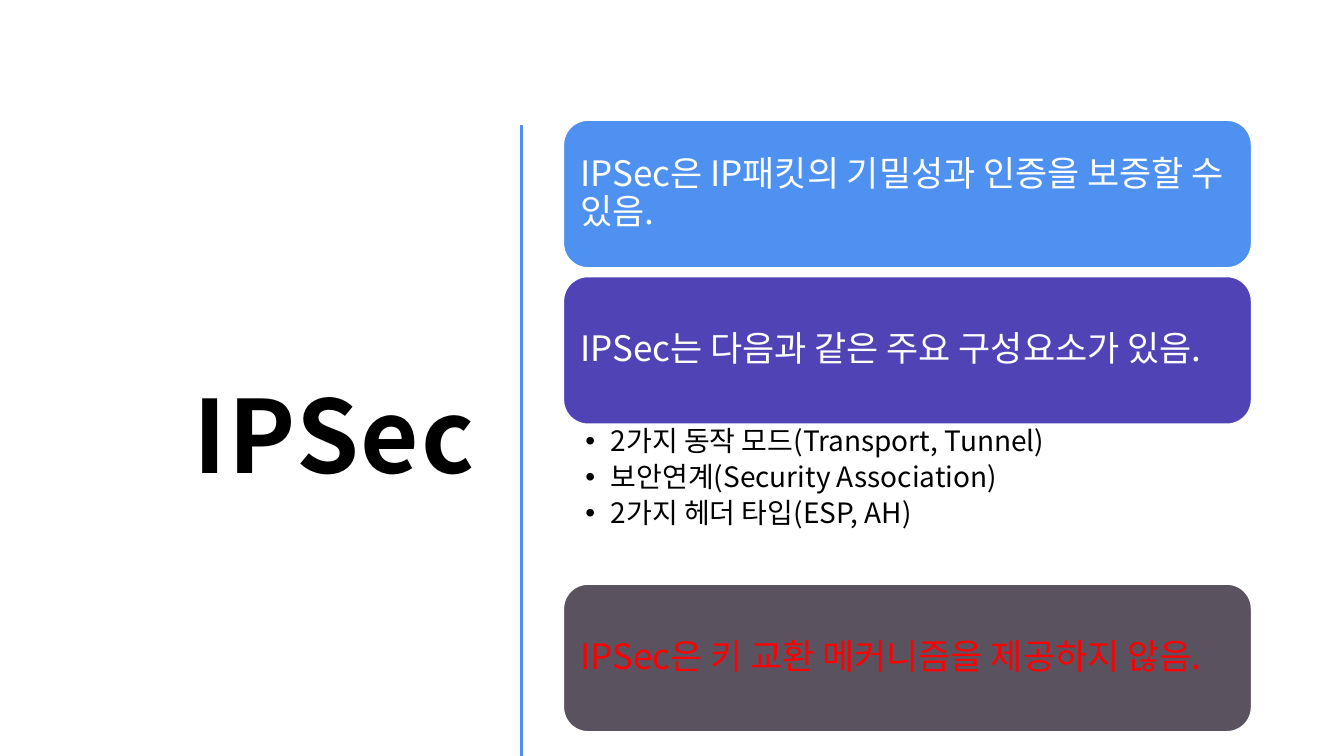
"""Build a slide that introduces IPSec with three cards and a bullet list."""
from dataclasses import dataclass

from lxml.etree import SubElement
from pptx import Presentation
from pptx.dml.color import RGBColor
from pptx.enum.shapes import MSO_CONNECTOR as Connector, MSO_SHAPE as Shape
from pptx.enum.text import MSO_ANCHOR as Anchor, MSO_AUTO_SIZE as AutoSize, PP_ALIGN as Align
from pptx.oxml.ns import qn
from pptx.slide import Slide
from pptx.text.text import TextFrame
from pptx.util import Cm, Pt

FONT = "Noto Sans CJK KR"
BLACK = RGBColor(0x00, 0x00, 0x00)
WHITE = RGBColor(0xFF, 0xFF, 0xFF)
RED = RGBColor(0xFF, 0x00, 0x00)
BLUE = RGBColor(0x4E, 0x91, 0xF0)
PURPLE = RGBColor(0x50, 0x43, 0xB5)
GRAY = RGBColor(0x5B, 0x52, 0x60)

CARD_LEFT, CARD_WIDTH, CARD_HEIGHT = Cm(14.2), Cm(17.34), Cm(3.72)
DIVIDER_X = Cm(13.14)


@dataclass(frozen=True)
class Card:
    text: str
    top: float
    fill: RGBColor
    color: RGBColor = WHITE


@dataclass(frozen=True)
class TextStyle:
    size: float
    color: RGBColor
    paragraph: dict
    frame: dict
    bold: bool = False


CARDS = [
    Card("IPSec은 IP패킷의 기밀성과 인증을 보증할 수 있음.", 3.03, BLUE),
    Card("IPSec는 다음과 같은 주요 구성요소가 있음.", 6.97, PURPLE),
    Card("IPSec은 키 교환 메커니즘을 제공하지 않음.", 14.72, GRAY, RED),
]
COMPONENTS = [
    "2가지 동작 모드(Transport, Tunnel)",
    "보안연계(Security Association)",
    "2가지 헤더 타입(ESP, AH)",
]


def apply_format(target: object, values: dict) -> None:
    for name, value in values.items():
        setattr(target, name, value)


def margins(left: float, top: float, right: float, bottom: float) -> dict:
    return {"margin_left": Cm(left), "margin_top": Cm(top),
            "margin_right": Cm(right), "margin_bottom": Cm(bottom)}


def write_text(frame: TextFrame, lines: list[str], style: TextStyle) -> None:
    apply_format(frame, {"word_wrap": True, "auto_size": AutoSize.NONE, **style.frame})
    frame.text = "\n".join(lines)
    for paragraph in frame.paragraphs:
        apply_format(paragraph, {"space_before": Pt(0), **style.paragraph})
        for run in paragraph.runs:
            apply_format(run.font, {"name": FONT, "size": Pt(style.size), "bold": style.bold})
            run.font.color.rgb = style.color
            SubElement(run.font._element, qn("a:ea"), typeface=FONT)


def add_title(slide: Slide) -> None:
    title = slide.shapes.title
    apply_format(title, {"left": Cm(1.32), "top": Cm(2.97), "width": Cm(10.95), "height": Cm(15.52)})
    style = TextStyle(72, BLACK, {"alignment": Align.RIGHT, "line_spacing": 1.1},
                      {"vertical_anchor": Anchor.MIDDLE, **margins(0.3, 0.3, 0.3, 0.25)}, bold=True)
    write_text(title.text_frame, ["IPSec"], style)
    title.text_frame.paragraphs[0].runs[0].font._element.set("spc", "140")


def add_divider(slide: Slide, bottom: int) -> None:
    divider = slide.shapes.add_connector(Connector.STRAIGHT, DIVIDER_X, Cm(3.15), DIVIDER_X, bottom)
    divider.line.color.rgb = BLUE
    divider.line.width = Pt(2)
    SubElement(divider._element.spPr, qn("a:effectLst"))


def add_card(slide: Slide, card: Card) -> None:
    shape = slide.shapes.add_shape(Shape.ROUNDED_RECTANGLE, CARD_LEFT, Cm(card.top),
                                   CARD_WIDTH, CARD_HEIGHT)
    shape.shadow.inherit = False
    shape.fill.solid()
    shape.fill.fore_color.rgb = card.fill
    shape.line.color.rgb = WHITE
    shape.line.width = Pt(1)
    style = TextStyle(25, card.color,
                      {"alignment": Align.LEFT, "line_spacing": 0.9, "space_after": Pt(8.75)},
                      {"vertical_anchor": Anchor.MIDDLE, **margins(0.25, 0.25, 0.25, 0.25)})
    write_text(shape.text_frame, [card.text], style)


def add_components(slide: Slide) -> None:
    body = slide.placeholders[1]
    apply_format(body, {"left": CARD_LEFT, "top": Cm(10.69), "width": CARD_WIDTH, "height": Cm(4.02)})
    style = TextStyle(20, BLACK,
                      {"alignment": Align.LEFT, "level": 1, "line_spacing": 0.9, "space_after": Pt(4)},
                      {"vertical_anchor": Anchor.TOP, **margins(0.55, 0.08, 0.48, 0.08)})
    write_text(body.text_frame, COMPONENTS, style)
    for paragraph in body.text_frame.paragraphs:
        properties = paragraph._p.get_or_add_pPr()
        properties.set("marL", str(Cm(0.64)))
        properties.set("indent", str(-Cm(0.64)))
        SubElement(properties, qn("a:buChar"), char="•")


def main() -> None:
    presentation = Presentation()
    presentation.slide_width, presentation.slide_height = Cm(33.87), Cm(19.05)
    slide = presentation.slides.add_slide(presentation.slide_layouts[1])
    add_title(slide)
    add_divider(slide, presentation.slide_height)
    for card in CARDS:
        add_card(slide, card)
    add_components(slide)
    presentation.save("out.pptx")


if __name__ == "__main__":
    main()
